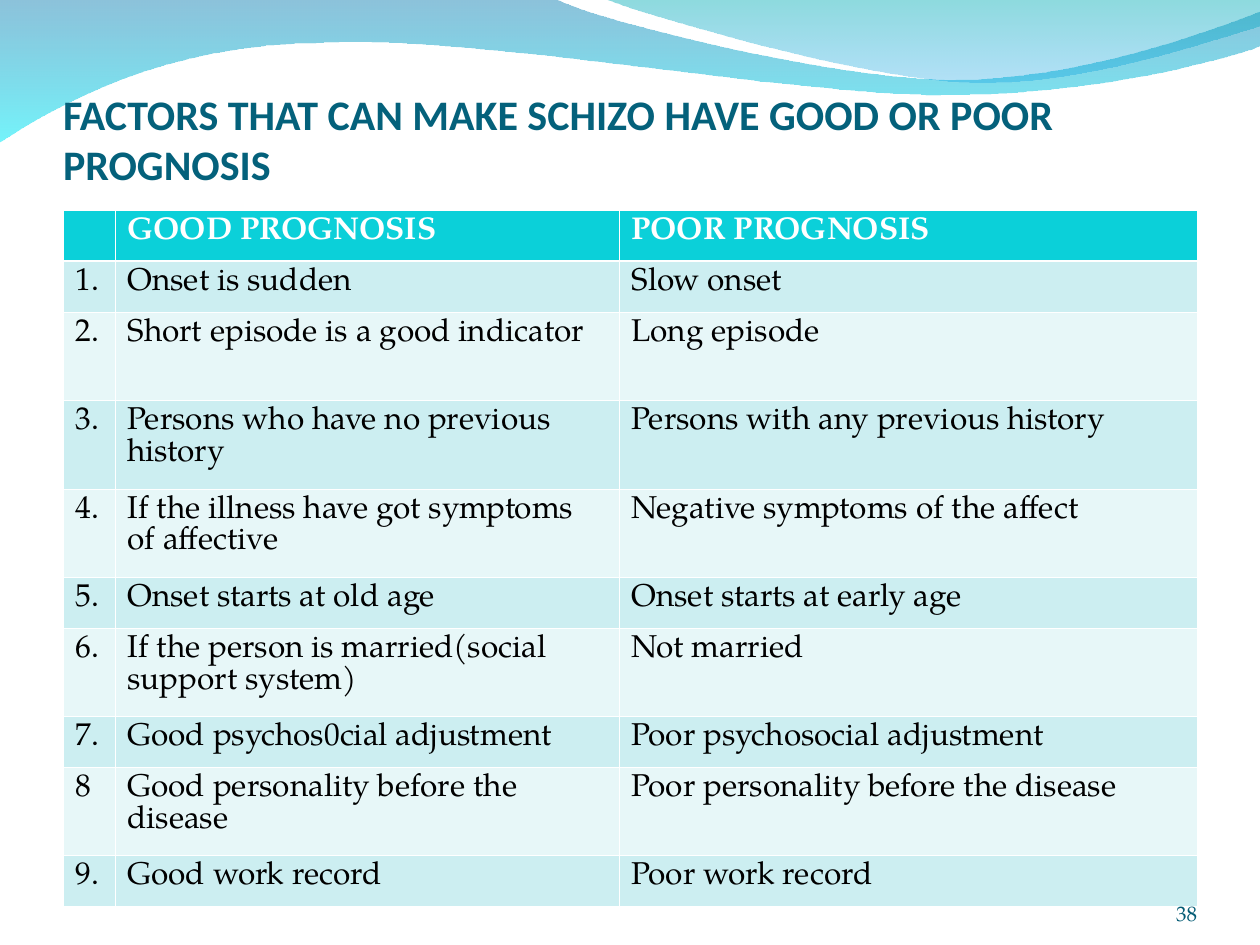
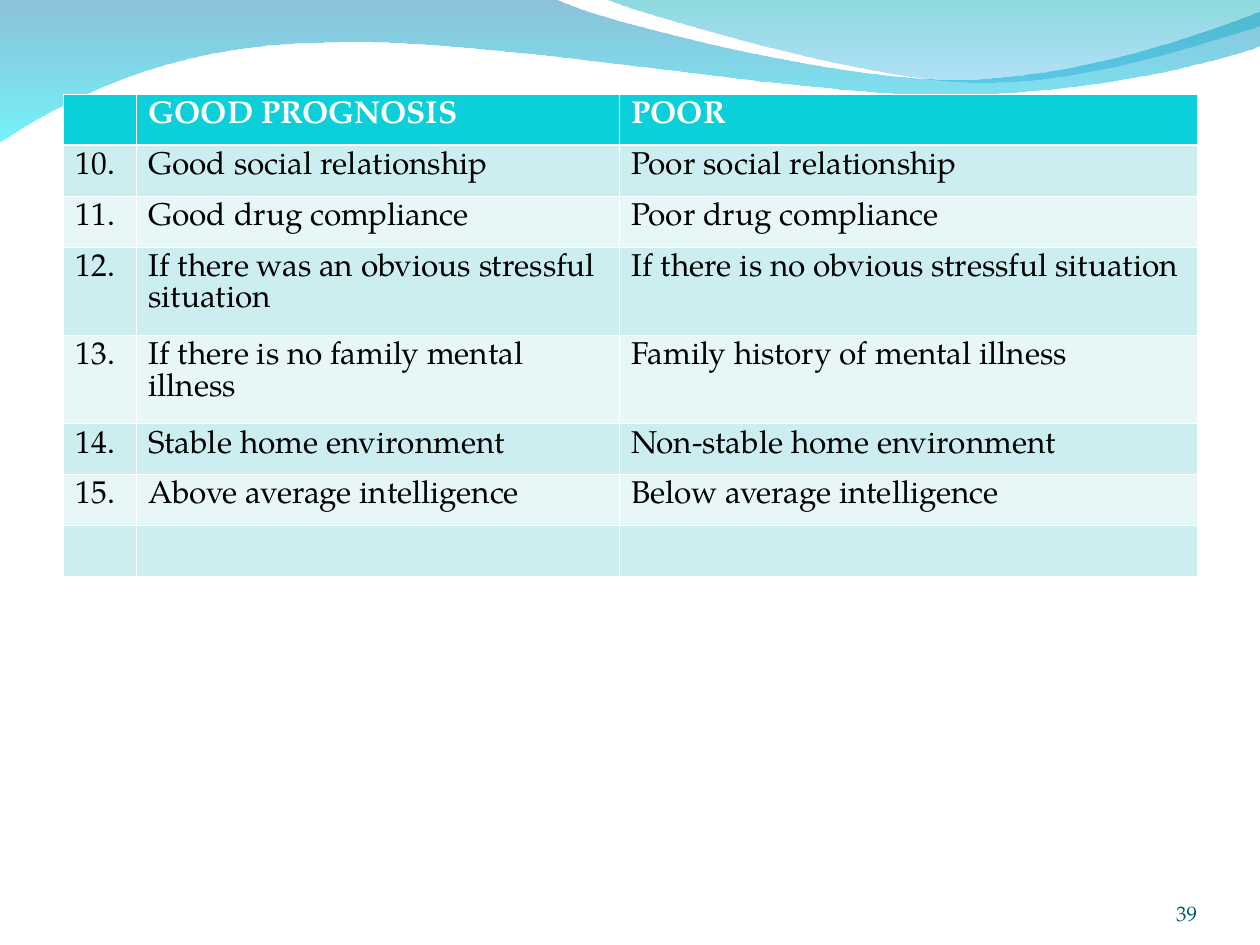
from lxml.etree import SubElement
from pptx import Presentation
from pptx.dml.color import RGBColor
from pptx.enum.text import MSO_ANCHOR as Anchor, MSO_AUTO_SIZE as AutoSize, PP_ALIGN as Align
from pptx.oxml.ns import qn
from pptx.util import Pt

TITLE = "FACTORS THAT CAN MAKE SCHIZO HAVE GOOD OR POOR PROGNOSIS"
SLIDES = [
    dict(number=38, title=TITLE, top=120.24, columns=(29.7, 288, 330.3), rows=[
        ("", "GOOD PROGNOSIS", "POOR PROGNOSIS"),
        ("1.", "Onset is sudden", "Slow onset"),
        ("2.", "Short episode is a good indicator", "Long episode"),
        ("3.", "Persons who have no previous history", "Persons with any previous history"),
        ("4.", "If the illness have got symptoms of affective", "Negative symptoms of the affect"),
        ("5.", "Onset starts at old age", "Onset starts at early age"),
        ("6.", "If the person is married(social support system)", "Not married"),
        ("7.", "Good psychos0cial adjustment", "Poor psychosocial adjustment"),
        ("8", "Good personality before the disease", "Poor personality before the disease"),
        ("9.", "Good work record", "Poor work record"),
    ]),
    dict(number=39, title=None, top=54, columns=(41.7, 276, 330.3), rows=[
        ("", "GOOD PROGNOSIS", "POOR"),
        ("10.", "Good social relationship", "Poor social relationship"),
        ("11.", "Good drug compliance", "Poor drug compliance"),
        ("12.", "If there was an obvious stressful situation", "If there is no obvious stressful situation"),
        ("13.", "If there is no family mental illness", "Family history of mental illness"),
        ("14.", "Stable home environment", "Non-stable home environment"),
        ("15.", "Above average intelligence", "Below average intelligence"),
        ("", "", ""),
    ]),
]

BODY_FONT, TITLE_FONT = "TeX Gyre Pagella", "Calibri"
WHITE, BLACK, TITLE_COLOR, NUMBER_COLOR = "FFFFFF", "000000", "04617B", "045C75"
HEADER_FILL, ROW_FILLS = "0BD0D9", ("CCEEF1", "E7F7F8")
MARGIN, CONTENT_WIDTH = 36, 648
SHORT_ROW, TALL_ROW, LINE_LIMIT = 29.06, 50.52, 30
THIN, THICK = 0.45, 1.47

WAVES = [
    dict(stops=(("0079AF", 45), ("00EBF8", 55)), start=(0, -0.72), steps=[
        [(316.8, -0.72)],
        [(342.72, 12.24), (478.08, 45.36), (545.76, 45.36)],
        [(614.16, 45.36), (689.76, 18.72), (720, 6.48)],
        [(720.72, 25.92)],
        [(707.76, 31.68), (626.4, 54.72), (537.12, 54)],
        [(447.84, 54), (275.04, 20.16), (185.04, 24.48)],
        [(92.88, 25.2), (33.12, 59.76), (-0.72, 81.36)],
        [(0, -0.72)],
    ]),
    dict(stops=(("00ADB6", 45), ("009BE5", 30)), start=(344.88, -0.72), steps=[
        [(366.48, 7.92), (491.04, 44.64), (553.68, 46.8)],
        [(616.32, 49.68), (691.92, 23.04), (720, 15.12)],
        [(720, 0)],
        [(344.88, -0.72)],
    ]),
]


def color(value):
    return RGBColor.from_string(value)


def style(paragraph, font_name, size, text_color, bold=False):
    font = paragraph.font
    font.name, font.size, font.bold = font_name, Pt(size), bold
    font.color.rgb = color(text_color)


def build_outline(slide, start, steps):
    builder = slide.shapes.build_freeform(Pt(start[0]), Pt(start[1]))
    builder.add_line_segments([(Pt(x), Pt(y)) for step in steps for x, y in step], close=True)
    shape = builder.convert_to_shape()
    segments = iter(list(shape._element.iter(qn("a:lnTo"))))
    for step in steps:
        first, *others = [next(segments) for _ in step]
        if others:
            first.tag = qn("a:cubicBezTo")
        for segment in others:
            first.append(segment[0])
            segment.getparent().remove(segment)
    return shape


def add_waves(slide):
    for position, wave in enumerate(WAVES):
        shape = build_outline(slide, wave["start"], wave["steps"])
        shape.shadow.inherit = False
        shape.line.fill.background()
        shape.fill.gradient()
        shape.fill.gradient_angle = 270
        for stop, offset, (value, _) in zip(shape.fill.gradient_stops, (0, 1), wave["stops"]):
            stop.position = offset
            stop.color.rgb = color(value)
        element = shape._element
        for node, (_, opacity) in zip(element.iter(qn("a:srgbClr")), wave["stops"]):
            SubElement(node, qn("a:alpha"), val=str(opacity * 1000))
        element.getparent().insert(2 + position, element)


def add_title(slide, text):
    title = slide.shapes.title
    title.left, title.top, title.width, title.height = Pt(MARGIN), Pt(55.5), Pt(CONTENT_WIDTH), Pt(52.5)
    frame = title.text_frame
    frame.text = text
    frame.auto_size, frame.word_wrap = AutoSize.NONE, True
    frame.vertical_anchor = Anchor.BOTTOM
    frame.margin_left = frame.margin_right = frame.margin_bottom = 0
    frame.margin_top = Pt(3.6)
    paragraph = frame.paragraphs[0]
    paragraph.alignment = Align.LEFT
    style(paragraph, TITLE_FONT, 24, TITLE_COLOR, bold=True)


def add_borders(cell, top, bottom):
    properties = cell._tc.get_or_add_tcPr()
    for side, width in (("L", THIN), ("R", THIN), ("T", top), ("B", bottom)):
        line = SubElement(properties, qn(f"a:ln{side}"), w=str(Pt(width)))
        SubElement(SubElement(line, qn("a:solidFill")), qn("a:srgbClr"), val=WHITE)


def add_prognosis_table(slide, top, columns, rows):
    heights = [TALL_ROW if len(good) > LINE_LIMIT else SHORT_ROW for _, good, _ in rows]
    table = slide.shapes.add_table(len(rows), len(columns), Pt(MARGIN), Pt(top),
                                   Pt(CONTENT_WIDTH), Pt(sum(heights))).table
    for column, width in zip(table.columns, columns):
        column.width = Pt(width)
    for index, (row, height, texts) in enumerate(zip(table.rows, heights, rows)):
        row.height = Pt(height)
        header = index == 0
        for cell, text in zip(row.cells, texts):
            add_borders(cell, THICK if index == 1 else THIN, THICK if header else THIN)
            cell.fill.solid()
            cell.fill.fore_color.rgb = color(HEADER_FILL if header else ROW_FILLS[(index - 1) % 2])
            if text:
                cell.text = text
            style(cell.text_frame.paragraphs[0], BODY_FONT, 18, WHITE if header else BLACK, bold=header)


def add_slide_number(slide, number):
    width = 60
    box = slide.shapes.add_textbox(Pt(MARGIN + CONTENT_WIDTH - width), Pt(500.5), Pt(width), Pt(28.5))
    frame = box.text_frame
    frame.word_wrap = True
    frame.vertical_anchor = Anchor.BOTTOM
    frame.margin_left = frame.margin_right = frame.margin_top = frame.margin_bottom = 0
    frame.text = str(number)
    paragraph = frame.paragraphs[0]
    paragraph.alignment = Align.RIGHT
    style(paragraph, BODY_FONT, 12, NUMBER_COLOR)


def main():
    presentation = Presentation()
    presentation.slide_width, presentation.slide_height = Pt(720), Pt(540)
    title_only, blank = presentation.slide_layouts[5], presentation.slide_layouts[6]
    for content in SLIDES:
        slide = presentation.slides.add_slide(title_only if content["title"] else blank)
        add_waves(slide)
        if content["title"]:
            add_title(slide, content["title"])
        add_prognosis_table(slide, content["top"], content["columns"], content["rows"])
        add_slide_number(slide, content["number"])
    presentation.save("out.pptx")


if __name__ == "__main__":
    main()
